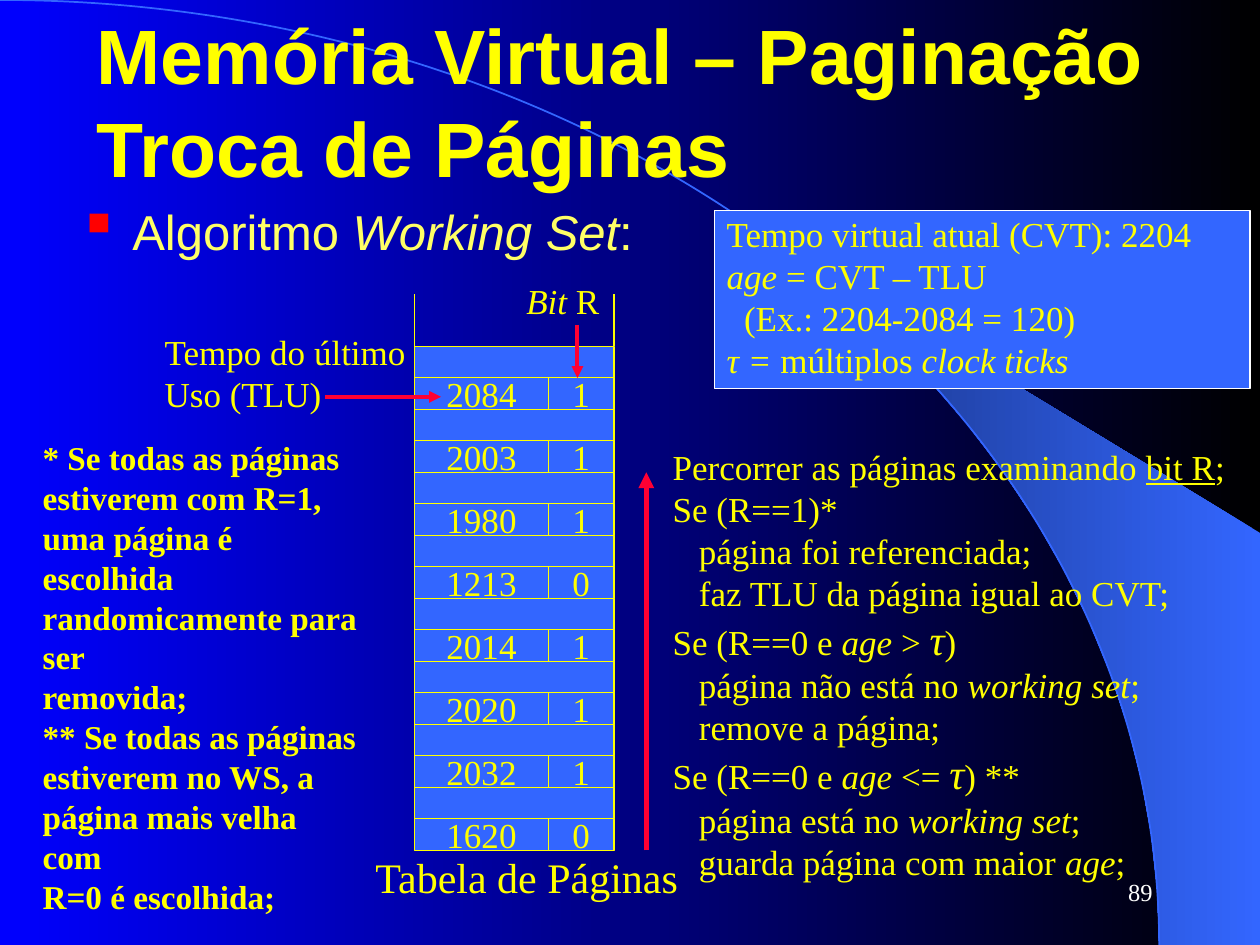
import math

from lxml import etree
from pptx import Presentation
from pptx.dml.color import RGBColor
from pptx.enum.shapes import MSO_CONNECTOR, MSO_SHAPE
from pptx.enum.text import MSO_ANCHOR, MSO_AUTO_SIZE, PP_ALIGN
from pptx.oxml.ns import qn
from pptx.util import Cm, Pt

RECTANGLE = MSO_SHAPE.RECTANGLE
ARC = MSO_SHAPE.ARC
STRAIGHT = MSO_CONNECTOR.STRAIGHT
MIDDLE = MSO_ANCHOR.MIDDLE
CENTER = PP_ALIGN.CENTER
RIGHT = PP_ALIGN.RIGHT
JUSTIFY = PP_ALIGN.JUSTIFY
FIT_SHAPE = MSO_AUTO_SIZE.SHAPE_TO_FIT_TEXT
NO_FIT = MSO_AUTO_SIZE.NONE

YELLOW = RGBColor(0xFF, 0xFF, 0x00)
PALE_YELLOW = RGBColor(0xFF, 0xFF, 0x66)
BLUE = RGBColor(0x33, 0x66, 0xFF)
DARK_BLUE = RGBColor(0x17, 0x2F, 0x75)
PURE_BLUE = RGBColor(0x00, 0x00, 0xFF)
RED = RGBColor(0xFF, 0x00, 0x33)
BULLET_RED = RGBColor(0xFF, 0x00, 0x00)
BLACK = RGBColor(0x00, 0x00, 0x00)
WHITE = RGBColor(0xFF, 0xFF, 0xFF)

SERIF = "Times New Roman"
SANS = "Arial"
PAGES = [(2084, 1), (2003, 1), (1980, 1), (1213, 0),
         (2014, 1), (2020, 1), (2032, 1), (1620, 0)]
INFO = ["Tempo virtual atual (CVT): 2204", "_age_ = CVT – TLU",
        "(Ex.: 2204-2084 = 120)", "_τ = _múltiplos _clock ticks_"]
STEPS = [
    (0, "Percorrer as páginas examinando _bit R_;"),
    (0, "Se (R==1)*"),
    (1, "página foi referenciada;"),
    (1, "faz TLU da página igual ao CVT;"),
    (0, "Se (R==0 e _age_ > _τ_)"),
    (1, "página não está no _working set_;"),
    (1, "remove a página;"),
    (0, "Se (R==0 e _age_ <= _τ_) **"),
    (1, "página está no _working set_;"),
    (1, "guarda página com maior _age_;"),
]
NOTES = ["* Se todas as páginas", "estiverem com R=1,", "uma página é escolhida",
         "randomicamente para ser", "removida;", "** Se todas as páginas",
         "estiverem no WS, a", "página mais velha com", "R=0 é escolhida;"]


def set_gradient(fill, first, last):
    """Fill from right to left with two colours."""
    fill.gradient()
    fill.gradient_angle = 180
    for stop, color, position in zip(fill.gradient_stops, (first, last), (0, 1)):
        stop.color.rgb = color
        stop.position = position


def format_run(run, size, font, color, bold, italic=False):
    """Apply the character format of a run."""
    run.font.name = font
    run.font.size = Pt(size)
    run.font.color.rgb = color
    run.font.bold = bold
    run.font.italic = italic


def write_lines(text_frame, lines, size=20, font=SERIF, color=YELLOW, bold=False):
    """Write one paragraph per line, with italics between underscores."""
    for index, line in enumerate(lines):
        paragraph = text_frame.paragraphs[0] if index == 0 else text_frame.add_paragraph()
        for part, text in enumerate(line.split("_")):
            if text:
                run = paragraph.add_run()
                run.text = text
                format_run(run, 24 if text == "τ" else size, font, color, bold, part % 2 == 1)
    return text_frame.paragraphs


def add_frame(slide, box, wrap=True, anchor=None):
    """Add a text box and return its text frame."""
    text_frame = slide.shapes.add_textbox(*map(Cm, box)).text_frame
    text_frame.word_wrap = wrap
    text_frame.auto_size = NO_FIT if wrap else FIT_SHAPE
    if anchor is not None:
        text_frame.vertical_anchor = anchor
    return text_frame


def add_text(slide, box, lines, wrap=True, anchor=None, **style):
    """Add a text box with lines and return its paragraphs."""
    return write_lines(add_frame(slide, box, wrap, anchor), lines, **style)


def indent(paragraph, left, first=0):
    """Set the left margin and first-line indent of a paragraph."""
    properties = paragraph._p.get_or_add_pPr()
    properties.set("marL", str(Cm(left)))
    properties.set("indent", str(Cm(first)))
    return properties


def add_rectangle(slide, box, line_color):
    """Add a blue outlined rectangle."""
    shape = slide.shapes.add_shape(RECTANGLE, *map(Cm, box))
    shape.shadow.inherit = False
    shape.fill.solid()
    shape.fill.fore_color.rgb = BLUE
    shape.line.color.rgb = line_color
    shape.line.width = Pt(0.75)
    return shape


def add_line(slide, ends, color, width, arrow=False):
    """Add a straight line, optionally ending in an arrowhead."""
    connector = slide.shapes.add_connector(STRAIGHT, *map(Cm, ends))
    connector.line.color.rgb = color
    connector.line.width = Pt(width)
    properties = connector._element.spPr
    if arrow:
        etree.SubElement(properties.find(qn("a:ln")), qn("a:tailEnd"), type="triangle")
    etree.SubElement(properties, qn("a:effectLst"))


def add_backdrop(slide, width, height):
    """Paint the gradient, the crescent and the large arc."""
    set_gradient(slide.background.fill, BLACK, PURE_BLUE)
    radius = 0.92 * width
    start, steps = math.asin(0.64), 15
    angles = [start + (math.pi / 2 - start) * step / steps for step in range(steps + 1)]
    edge = [(radius * math.sin(angle), height * (1 - math.cos(angle))) for angle in angles]
    points = [(Cm(x), Cm(y)) for x, y in edge + [(width, height), (width, 0.564 * height)]]
    builder = slide.shapes.build_freeform(*points[0])
    builder.add_line_segments(points[1:])
    crescent = builder.convert_to_shape()
    crescent.shadow.inherit = False
    set_gradient(crescent.fill, BLUE, DARK_BLUE)
    crescent.line.fill.background()
    curve = slide.shapes.add_shape(ARC, Cm(-radius), 0, Cm(2 * radius), Cm(2 * height))
    curve.shadow.inherit = False
    curve.fill.background()
    curve.line.color.rgb = BLUE
    curve.line.width = Pt(1)


def add_title(slide, box):
    """Add the two-line title."""
    paragraph = add_frame(slide, box, anchor=MIDDLE).paragraphs[0]
    paragraph.text = "Memória Virtual – Paginação\vTroca de Páginas"
    for run in paragraph.runs:
        format_run(run, 44, SANS, YELLOW, True)


def add_topic(slide, box):
    """Add the bulleted topic line."""
    paragraph = add_text(slide, box, ["Algoritmo _Working Set_:"],
                         size=28, font=SANS, color=PALE_YELLOW)[0]
    paragraph.alignment = JUSTIFY
    properties = indent(paragraph, 0.97, -0.97)
    bullet_color = etree.SubElement(properties, qn("a:buClr"))
    etree.SubElement(bullet_color, qn("a:srgbClr"), val=str(BULLET_RED))
    etree.SubElement(properties, qn("a:buSzPct"), val="130000")
    etree.SubElement(properties, qn("a:buFont"), typeface="Wingdings")
    etree.SubElement(properties, qn("a:buChar"), char="§")


def add_info(slide, box):
    """Add the framed definitions of time and age."""
    left, top, width, height = box
    add_rectangle(slide, box, WHITE)
    paragraphs = add_text(slide, (left, top - 0.08, width - 0.87, height), INFO, wrap=False)
    indent(paragraphs[2], 0.35)


def add_page_table(slide, box):
    """Add the page table with its open top, caption and scan arrow."""
    left, top, width, height = box
    row = height / (2 * len(PAGES))
    split = 0.67 * width
    for index, (time, bit) in enumerate(PAGES):
        y = top + 2 * index * row
        add_rectangle(slide, (left, y, width, row), YELLOW)
        for x, cell_width, value in ((0, split, time), (split, width - split, bit)):
            cell = add_rectangle(slide, (left + x, y + row, cell_width, row), YELLOW)
            cell.text_frame.word_wrap = False
            cell.text_frame.vertical_anchor = MIDDLE
            write_lines(cell.text_frame, [str(value)])[0].alignment = CENTER
    for x in (left, left + width):
        add_line(slide, (x, top, x, top - 1.06), YELLOW, 0.75)
    bottom = top + height
    add_text(slide, (left - 1.04, bottom - 0.1, 6.65, 1.27), ["Tabela de Páginas"],
             wrap=False, size=24)
    arrow_x = left + width + 0.65
    add_line(slide, (arrow_x, bottom, arrow_x, top + 4 * row), RED, 3, arrow=True)


def add_column_labels(slide, box):
    """Label the time and bit columns of the table."""
    left, top, width, height = box
    add_text(slide, (left, top + 1.02, 5.41, 1.96),
             ["Tempo do último", "Uso (TLU)"], wrap=False)
    add_text(slide, (left + 7.29, top, 1.98, 1.12), ["_Bit_ R"], wrap=False)
    add_line(slide, (left + 3.48, top + height, left + 5.82, top + height), RED, 2.25, arrow=True)
    add_line(slide, (left + width, top + 1.04, left + width, top + 2.11), RED, 2.25, arrow=True)


def add_steps(slide, box):
    """Add the algorithm steps."""
    paragraphs = add_text(slide, box, [text for _, text in STEPS])
    for paragraph, (level, _) in zip(paragraphs, STEPS):
        indent(paragraph, 0.53 * level)
    bit_font = paragraphs[0].runs[1].font
    bit_font.italic = False
    bit_font.underline = True


def main():
    """Build and save the slide."""
    presentation = Presentation()
    presentation.slide_width = Cm(25.4)
    presentation.slide_height = Cm(19.05)
    slide = presentation.slides.add_slide(presentation.slide_layouts[6])
    add_backdrop(slide, 25.4, 19.05)
    add_title(slide, (1.7, 0.43, 22.86, 3.18))
    add_info(slide, (14.4, 4.24, 10.8, 3.6))
    add_page_table(slide, (8.36, 6.98, 4.02, 10.16))
    add_column_labels(slide, (3.07, 5.51, 8.57, 2.49))
    add_steps(slide, (13.31, 8.85, 11.86, 9.07))
    add_topic(slide, (1.45, 3.94, 12, 1.45))
    add_text(slide, (0.61, 8.69, 6.91, 10.3), NOTES, size=19, bold=True)
    number = add_text(slide, (18.21, 17.35, 5.28, 1.27), ["89"],
                      anchor=MIDDLE, size=14, color=WHITE)
    number[0].alignment = RIGHT
    presentation.save("out.pptx")


if __name__ == "__main__":
    main()
